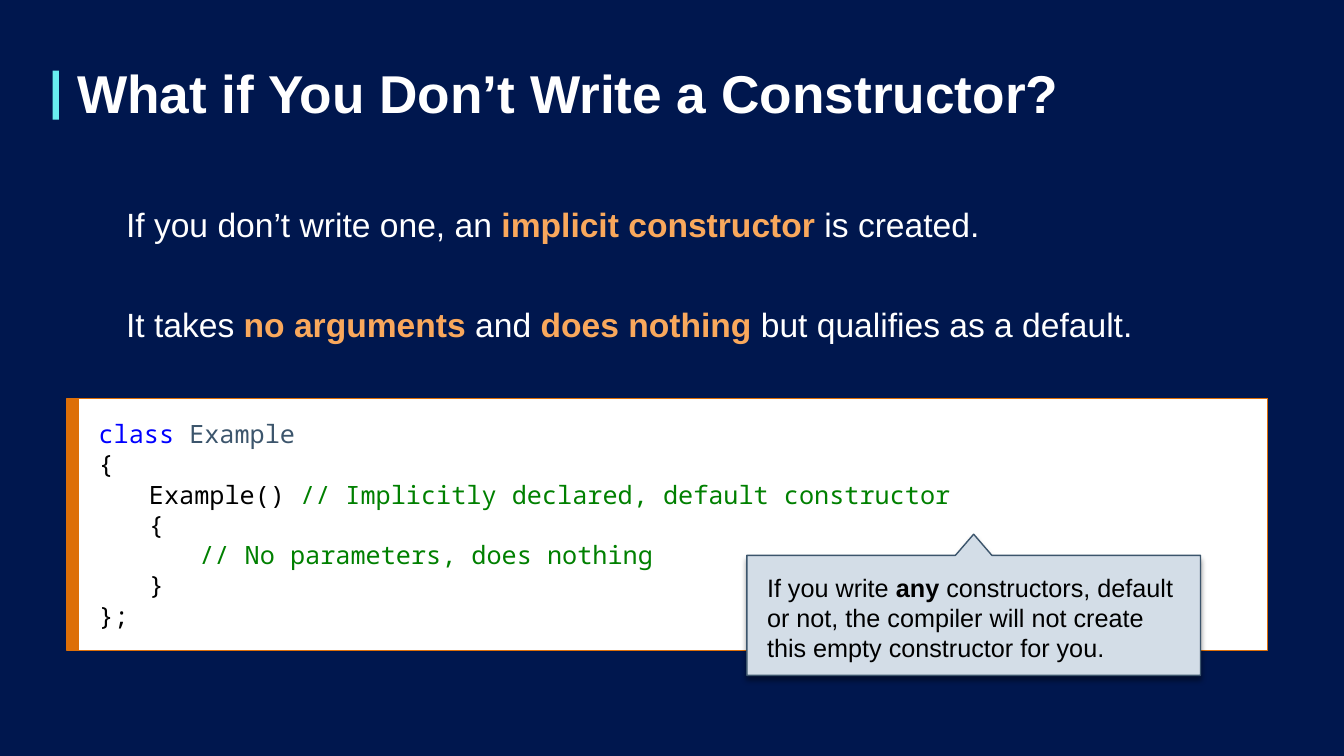
"""Build the slide on implicit constructors."""
from dataclasses import dataclass
from typing import Optional

from lxml import etree
from pptx import Presentation
from pptx import util as u
from pptx.dml.color import RGBColor
from pptx.enum import shapes, text
from pptx.oxml import ns

Pt = u.Pt
NAVY = RGBColor(0x00, 0x17, 0x4E)
AQUA = RGBColor(0x69, 0xEE, 0xF0)
WHITE = RGBColor(0xFF, 0xFF, 0xFF)
BLACK = RGBColor(0x00, 0x00, 0x00)
PEACH = RGBColor(0xF9, 0xA8, 0x5C)
ORANGE = RGBColor(0xDD, 0x6F, 0x08)
BLUE = RGBColor(0x00, 0x00, 0xFF)
SLATE = RGBColor(0x3C, 0x55, 0x6C)
GREEN = RGBColor(0x00, 0x80, 0x00)
PALE = RGBColor(0xD3, 0xDD, 0xE7)
TAB = 36


@dataclass(frozen=True)
class Part:
    """A stretch of text in one colour and weight."""
    words: str
    color: RGBColor
    bold: bool = False


@dataclass(frozen=True)
class Box:
    """A rectangle in points, with its colours."""
    left: float
    top: float
    width: float
    height: float
    fill: Optional[RGBColor] = None
    line: Optional[RGBColor] = None


Line = list[Part]

BAR = Box(37.5, 50.5, 4.5, 35, AQUA)
TITLE = Box(48, 44, 857, 49)
PANEL = Box(56, 284.5, 849.5, 180, WHITE, ORANGE)
STRIP = Box(48, 284.5, 8, 180, ORANGE, ORANGE)
NOTE = Box(533.5, 396.7, 324, 85.7, PALE, SLATE)
TIP_RISE, TIP_HALF = 15.1, 13

HEADING: Line = [Part("What if You Don’t Write a Constructor?", WHITE, True)]
CLAIMS: list[Line] = [
    [Part("If you don’t write one, an ", WHITE),
     Part("implicit constructor ", PEACH, True),
     Part("is created.", WHITE)],
    [Part("It takes ", WHITE), Part("no arguments", PEACH, True),
     Part(" and ", WHITE), Part("does nothing", PEACH, True),
     Part(" but qualifies as a default.", WHITE)],
]
CODE: list[Line] = [
    [Part("class ", BLUE), Part("Example", SLATE)],
    [Part("{", BLACK)],
    [Part("\tExample() ", BLACK),
     Part("// Implicitly declared, default constructor", GREEN)],
    [Part("\t{", BLACK)],
    [Part("\t\t", BLACK), Part("// No parameters, does nothing", GREEN)],
    [Part("\t}", BLACK)],
    [Part("};", BLACK)],
]
REMARK: Line = [
    Part("If you write ", BLACK), Part("any", BLACK, True),
    Part(" constructors, default or not, the compiler will not create "
         "this empty constructor for you.", BLACK),
]


def paint(shape, box: Box) -> None:
    """Apply the fill and outline of a box, without a shadow."""
    shape.shadow.inherit = False
    shape.fill.solid()
    shape.fill.fore_color.rgb = box.fill
    if box.line is None:
        shape.line.fill.background()
    else:
        shape.line.color.rgb = box.line
        shape.line.width = Pt(1)


def block(slide, box: Box):
    """Draw a filled rectangle."""
    shape = slide.shapes.add_shape(
        shapes.MSO_SHAPE.RECTANGLE, Pt(box.left), Pt(box.top),
        Pt(box.width), Pt(box.height))
    paint(shape, box)
    return shape


def pad(frame, side: float, top: float, base: float) -> None:
    """Set the inner margins of a text frame."""
    frame.margin_left = frame.margin_right = Pt(side)
    frame.margin_top, frame.margin_bottom = Pt(top), Pt(base)


def write(frame, lines: list[Line], size: float, face: str = "Arial") -> None:
    """Fill a text frame with coloured lines."""
    frame.word_wrap = True
    frame.vertical_anchor = text.MSO_ANCHOR.MIDDLE
    frame.text = "\n".join("" for _ in lines)
    for para, line in zip(frame.paragraphs, lines):
        para.alignment = text.PP_ALIGN.LEFT
        for part in line:
            run = para.add_run()
            run.text = part.words
            run.font.name = face
            run.font.size = Pt(size)
            run.font.bold = part.bold
            run.font.color.rgb = part.color


def label(slide, box: Box, line: Line, size: float):
    """Add a one-line text box that grows with its text."""
    shape = slide.shapes.add_textbox(
        Pt(box.left), Pt(box.top), Pt(box.width), Pt(box.height))
    write(shape.text_frame, [line], size)
    shape.text_frame.auto_size = text.MSO_AUTO_SIZE.SHAPE_TO_FIT_TEXT
    return shape


def set_tabs(frame) -> None:
    """Give each paragraph two even tab stops."""
    for para in frame.paragraphs:
        props = para._p.get_or_add_pPr()
        stops = etree.SubElement(props, ns.qn("a:tabLst"))
        for level in (1, 2):
            etree.SubElement(stops, ns.qn("a:tab"),
                             pos=str(Pt(TAB * level)), algn="l")


def drop(shape) -> None:
    """Cast a soft shadow straight down."""
    effects = shape._element.spPr.find(ns.qn("a:effectLst"))
    cast = etree.SubElement(
        effects, ns.qn("a:outerShdw"), blurRad=str(Pt(4)),
        dist=str(Pt(3)), dir="5400000", algn="t", rotWithShape="0")
    tint = etree.SubElement(cast, ns.qn("a:srgbClr"), val=str(BLACK))
    etree.SubElement(tint, ns.qn("a:alpha"), val="40000")


def callout(slide, box: Box):
    """Draw a box with a pointer in the middle of its top edge."""
    mid = box.left + box.width / 2
    right, base = box.left + box.width, box.top + box.height
    points = [(mid + TIP_HALF, box.top), (right, box.top), (right, base),
              (box.left, base), (box.left, box.top),
              (mid - TIP_HALF, box.top)]
    pen = slide.shapes.build_freeform(Pt(mid), Pt(box.top - TIP_RISE))
    pen.add_line_segments([(Pt(x), Pt(y)) for x, y in points], close=True)
    shape = pen.convert_to_shape()
    paint(shape, box)
    drop(shape)
    return shape


def main() -> None:
    """Compose and save the slide."""
    deck = Presentation()
    deck.slide_width, deck.slide_height = Pt(960), Pt(540)
    slide = deck.slides.add_slide(deck.slide_layouts[6])
    slide.background.fill.solid()
    slide.background.fill.fore_color.rgb = NAVY

    block(slide, BAR)
    title = label(slide, TITLE, HEADING, 38)
    title.text_frame.paragraphs[0].line_spacing = 0.9
    for row, claim in enumerate(CLAIMS):
        label(slide, Box(83, 142 + 71.3 * row, 822, 36), claim, 24)

    panel = block(slide, PANEL).text_frame
    pad(panel, 14.4, 14.4, 14.4)
    write(panel, CODE, 18, "Noto Sans Mono")
    set_tabs(panel)
    block(slide, STRIP)

    note = callout(slide, NOTE).text_frame
    pad(note, 14.4, 36, 18)
    write(note, [REMARK], 18)
    deck.save("out.pptx")


if __name__ == "__main__":
    main()
